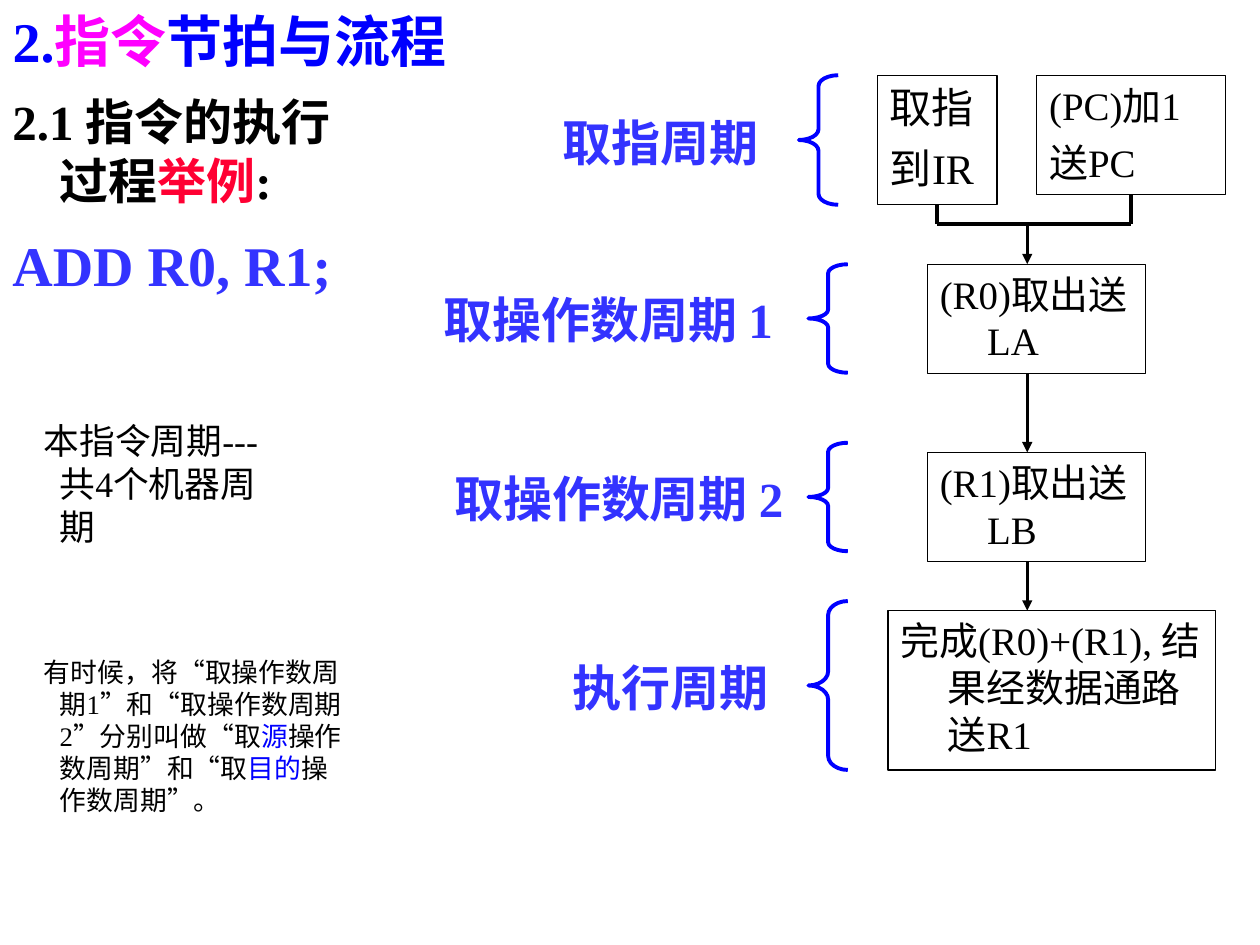
from pptx import Presentation
from pptx.dml.color import RGBColor
from pptx.enum.shapes import MSO_CONNECTOR, MSO_SHAPE
from pptx.enum.text import MSO_ANCHOR, MSO_AUTO_SIZE, PP_ALIGN
from pptx.oxml import parse_xml
from pptx.oxml.ns import nsdecls
from pptx.util import Pt

STRAIGHT = MSO_CONNECTOR.STRAIGHT
RECTANGLE, LEFT_BRACE = MSO_SHAPE.RECTANGLE, MSO_SHAPE.LEFT_BRACE
TOP, LEFT, NO_AUTOFIT = MSO_ANCHOR.TOP, PP_ALIGN.LEFT, MSO_AUTO_SIZE.NONE

FONT = "Times New Roman"
BLACK, BLUE, VIOLET = "000000", "0000FF", "3333FF"
MAGENTA, RED = "FF00FF", "FF0033"
HANGING = 27
FLOW_X = 587
BUS_Y = 128


def colour(hex_string):
    return RGBColor.from_string(hex_string)


def write(shape, paragraphs, size, color=BLACK, bold=False, indent=-HANGING):
    """Fill a shape; each paragraph is a list of strings or (string, colour) pairs."""
    frame = shape.text_frame
    frame.word_wrap = True
    frame.auto_size = NO_AUTOFIT
    frame.vertical_anchor = TOP
    for index, parts in enumerate(paragraphs):
        paragraph = frame.add_paragraph() if index else frame.paragraphs[0]
        properties = paragraph._p.get_or_add_pPr()
        properties.set("marL", str(Pt(HANGING)))
        properties.set("indent", str(Pt(indent)))
        paragraph.alignment = LEFT
        paragraph.space_before = Pt(6 if index else 0)
        paragraph.font.name = FONT
        paragraph.font.size = Pt(size)
        paragraph.font.bold = bold
        for part in parts:
            text, run_color = (part, color) if isinstance(part, str) else part
            run = paragraph.add_run()
            run.text = text
            run.font.color.rgb = colour(run_color)


def place(shape, left, top, width, height):
    shape.left, shape.top = Pt(left), Pt(top)
    shape.width, shape.height = Pt(width), Pt(height)


def add_text(slide, bounds, parts, size, **style):
    box = slide.shapes.add_textbox(*map(Pt, bounds))
    write(box, [parts], size, **style)


def add_outline(slide, preset, bounds, color, weight):
    shape = slide.shapes.add_shape(preset, *map(Pt, bounds))
    shape.shadow.inherit = False
    shape.fill.background()
    shape.line.color.rgb = colour(color)
    shape.line.width = Pt(weight)
    return shape


def add_step(slide, bounds, lines, size=22.2):
    box = add_outline(slide, RECTANGLE, bounds, BLACK, 0.75)
    write(box, [[line] for line in lines], size)


def add_brace(slide, left, top, height):
    width = 22.5
    brace = add_outline(slide, LEFT_BRACE, (left, top, width, height), BLUE, 2.25)
    brace.adjustments[0] = height / 12 / width


def add_line(slide, start, end, weight=2.25, arrow=False):
    line = slide.shapes.add_connector(STRAIGHT, *map(Pt, start + end))
    line.line.color.rgb = colour(BLACK)
    line.line.width = Pt(weight)
    if arrow:
        line.line._get_or_add_ln().append(
            parse_xml(f'<a:tailEnd {nsdecls("a")} type="triangle"/>'))
    line._element.spPr.append(parse_xml(f'<a:effectLst {nsdecls("a")}/>'))


def add_headings(slide):
    title = slide.shapes.title
    place(title, 0, 0, 303, 53.5)
    write(title, [["2.", ("指令", MAGENTA), "节拍与流程"]], 32, BLUE, True)
    add_text(slide, (0, 49, 218, 73.5),
             ["2.1 指令的执行过程", ("举例", RED), ":"], 28, bold=True)
    add_text(slide, (0, 128, 201.5, 45.5), ["ADD R0, R1;"], 32,
             color=VIOLET, bold=True)


def add_notes(slide):
    add_text(slide, (0, 236, 155.5, 85), ["本指令周期---共4个机器周期"], 20.4, indent=-9)
    add_text(slide, (0, 371, 206.5, 114),
             ["有时候，将“取操作数周期1”和“取操作数周期2”分别叫做“取", ("源", BLUE),
              "操作数周期”和“取", ("目的", BLUE), "操作数周期”。"], 15.3, indent=-9)


def add_cycles(slide):
    cycles = [
        ("取指周期", (314.5, 60.5, 130.5, 45.5), (456.5, 43, 74)),
        ("取操作数周期 1", (246.5, 162, 204.5, 34), (462, 151, 62)),
        ("取操作数周期 2", (252.5, 264, 204.5, 34), (462, 253, 62)),
        ("执行周期", (320, 372, 130.5, 45.5), (462, 343.5, 96.5)),
    ]
    for label, bounds, brace in cycles:
        add_text(slide, bounds, [label], 28, color=VIOLET, bold=True)
        add_brace(slide, *brace)


def add_flow(slide):
    fetch = (501.5, 43, 68.2, 74)
    increment = (592.5, 43, 108, 68)
    operands = [(530, 151, 124.5, 62.5), (530, 258.5, 124.5, 62.5)]
    execute = (507.5, 349, 187, 91)

    add_step(slide, fetch, ["取指", "到IR"], 24)
    add_step(slide, increment, ["(PC)加1", "送PC"])
    add_step(slide, operands[0], ["(R0)取出送LA"])
    add_step(slide, operands[1], ["(R1)取出送LB"])
    add_step(slide, execute, ["完成(R0)+(R1), 结果经数据通路送R1"])

    bus_ends = []
    for left, top, width, height in (fetch, increment):
        middle = left + width / 2
        add_line(slide, (middle, top + height), (middle, BUS_Y))
        bus_ends.append((middle, BUS_Y))
    add_line(slide, *bus_ends)

    start = BUS_Y
    for _, top, _, height in operands + [execute]:
        add_line(slide, (FLOW_X, start), (FLOW_X, top), 1.5, arrow=True)
        start = top + height


def main():
    presentation = Presentation()
    presentation.slide_width, presentation.slide_height = Pt(720), Pt(540)
    slide = presentation.slides.add_slide(presentation.slide_layouts[5])
    add_headings(slide)
    add_notes(slide)
    add_cycles(slide)
    add_flow(slide)
    presentation.save("out.pptx")


if __name__ == "__main__":
    main()
